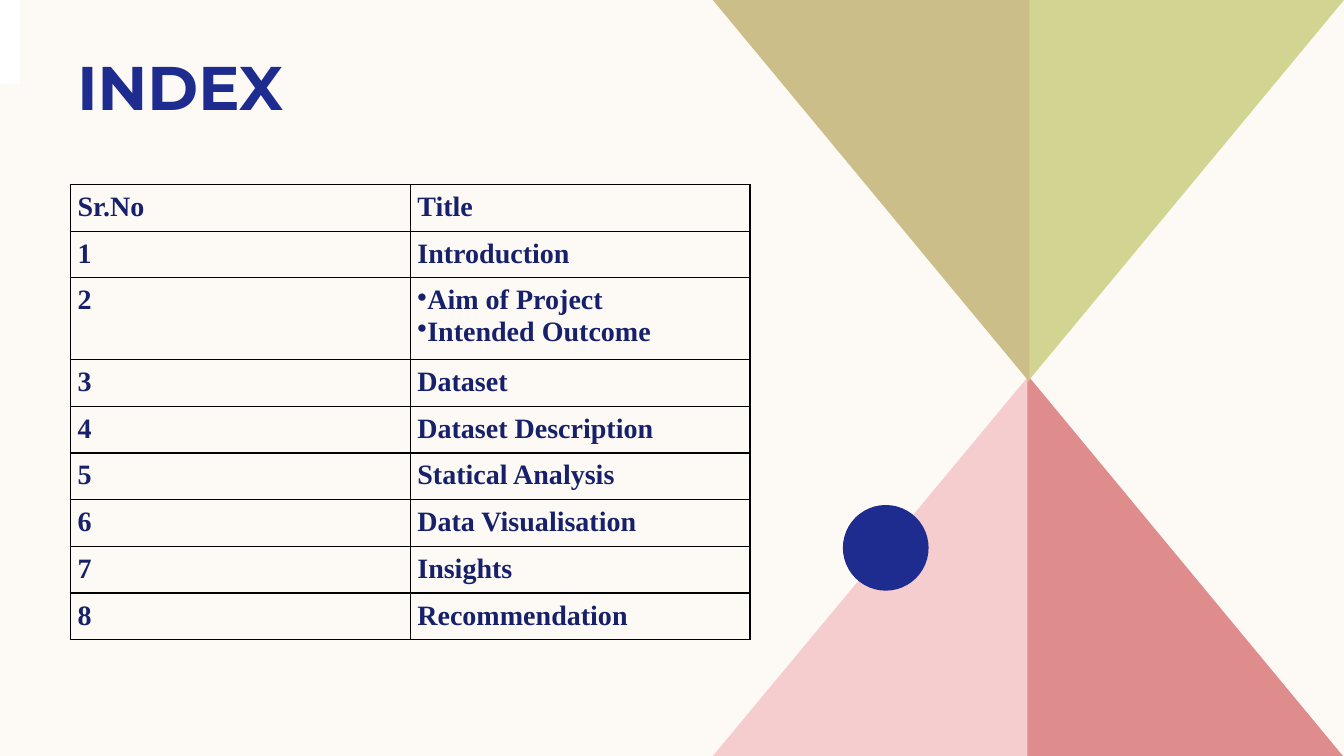
from pptx import Presentation
from pptx.dml.color import RGBColor
from pptx.enum.shapes import MSO_SHAPE as Shape
from pptx.enum.text import MSO_ANCHOR as Anchor
from pptx.oxml import parse_xml
from pptx.oxml.ns import nsdecls
from pptx.util import Inches, Pt

BLUE = "1F2C8F"
NAVY = "17216B"
TITLES = [
    "Title",
    "Introduction",
    "Aim of Project\nIntended Outcome",
    "Dataset",
    "Dataset Description",
    "Statical Analysis",
    "Data Visualisation",
    "Insights",
    "Recommendation",
]
TRIANGLES = [
    ("F5CDCE", [(10.21, 3.72), (7.07, 7.5), (10.21, 7.5)]),
    ("DE8C8C", [(10.19, 3.72), (13.32, 7.5), (10.19, 7.5)]),
    ("D2D592", [(10.19, 3.79), (13.33, 0), (10.19, 0)]),
    ("CCBE89", [(10.21, 3.79), (7.07, 0), (10.21, 0)]),
]


def color(code):
    return RGBColor.from_string(code)


def paint(shape, code):
    shape.shadow.inherit = False
    shape.fill.solid()
    shape.fill.fore_color.rgb = color(code)
    shape.line.fill.background()


def add_tri(slide, code, points):
    start, *rest = [(Inches(x), Inches(y)) for x, y in points]
    outline = slide.shapes.build_freeform(*start)
    outline.add_line_segments(rest, close=True)
    paint(outline.convert_to_shape(), code)


def add_solid(slide, kind, code, *box):
    paint(slide.shapes.add_shape(kind, *map(Inches, box)), code)


def style(par, font, size, code):
    for run in par.runs:
        run.font.name = font
        run.font.size = Pt(size)
        run.font.bold = True
        run.font.color.rgb = color(code)


def add_title(slide, text):
    frame = slide.shapes.add_textbox(
        Inches(0.67), Inches(0.43), Inches(6.23), Inches(0.84)).text_frame
    frame.word_wrap = True
    frame.vertical_anchor = Anchor.MIDDLE
    frame.text = text
    style(frame.paragraphs[0], "Montserrat", 44, BLUE)


def add_border(cell):
    props = cell._tc.get_or_add_tcPr()
    for spot, side in enumerate(("lnL", "lnR", "lnT", "lnB")):
        props.insert(spot, parse_xml(
            f'<a:{side} {nsdecls("a")} w="12700"><a:solidFill>'
            f'<a:srgbClr val="000000"/></a:solidFill></a:{side}>'))


def add_bullet(par):
    props = par._p.get_or_add_pPr()
    props.set("marL", "0")
    props.set("indent", "0")
    props.append(parse_xml(f'<a:buChar {nsdecls("a")} char="•"/>'))


def fill_cell(cell, text):
    cell.fill.background()
    cell.margin_left = cell.margin_right = cell.margin_top = Inches(0.07)
    cell.margin_bottom = Inches(0.06)
    cell.text_frame.text = text
    pars = cell.text_frame.paragraphs
    for par in pars:
        style(par, "Times New Roman", 20, NAVY)
        if len(pars) > 1:
            add_bullet(par)
    add_border(cell)


def add_index(slide):
    table = slide.shapes.add_table(
        len(TITLES), 2, Inches(0.7), Inches(1.83),
        Inches(6.74), Inches(4.33)).table
    table.first_row = table.horz_banding = False
    for num, title in enumerate(TITLES):
        table.rows[num].height = Inches(0.81 if "\n" in title else 0.44)
        fill_cell(table.cell(num, 0), str(num) if num else "Sr.No")
        fill_cell(table.cell(num, 1), title)


def main():
    deck = Presentation()
    deck.slide_width, deck.slide_height = Inches(13.33), Inches(7.5)
    slide = deck.slides.add_slide(deck.slide_layouts[6])
    slide.background.fill.solid()
    slide.background.fill.fore_color.rgb = color("FDFAF6")
    for code, points in TRIANGLES:
        add_tri(slide, code, points)
    add_solid(slide, Shape.OVAL, BLUE, 8.36, 5.01, 0.85, 0.85)
    add_title(slide, "INDEX")
    add_index(slide)
    add_solid(slide, Shape.RECTANGLE, "FFFFFF", 0, 0, 0.2, 0.83)
    deck.save("out.pptx")


if __name__ == "__main__":
    main()
